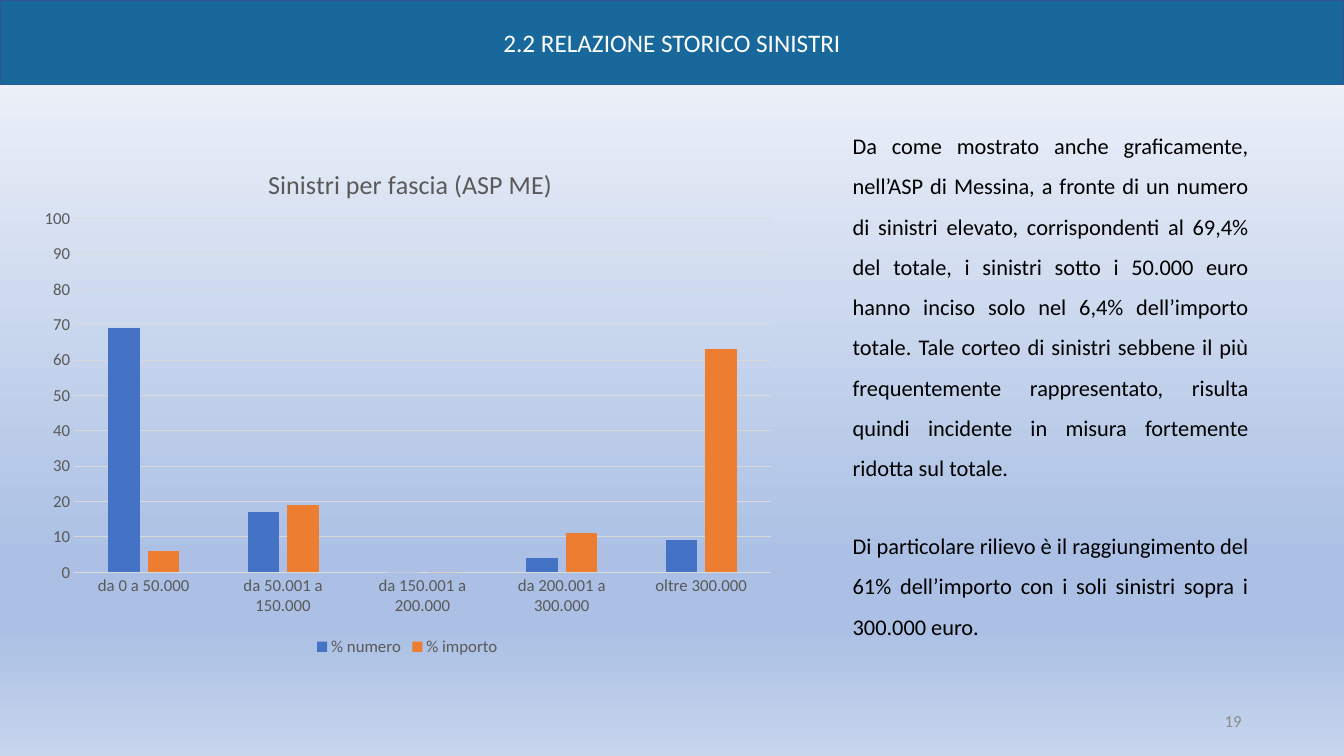
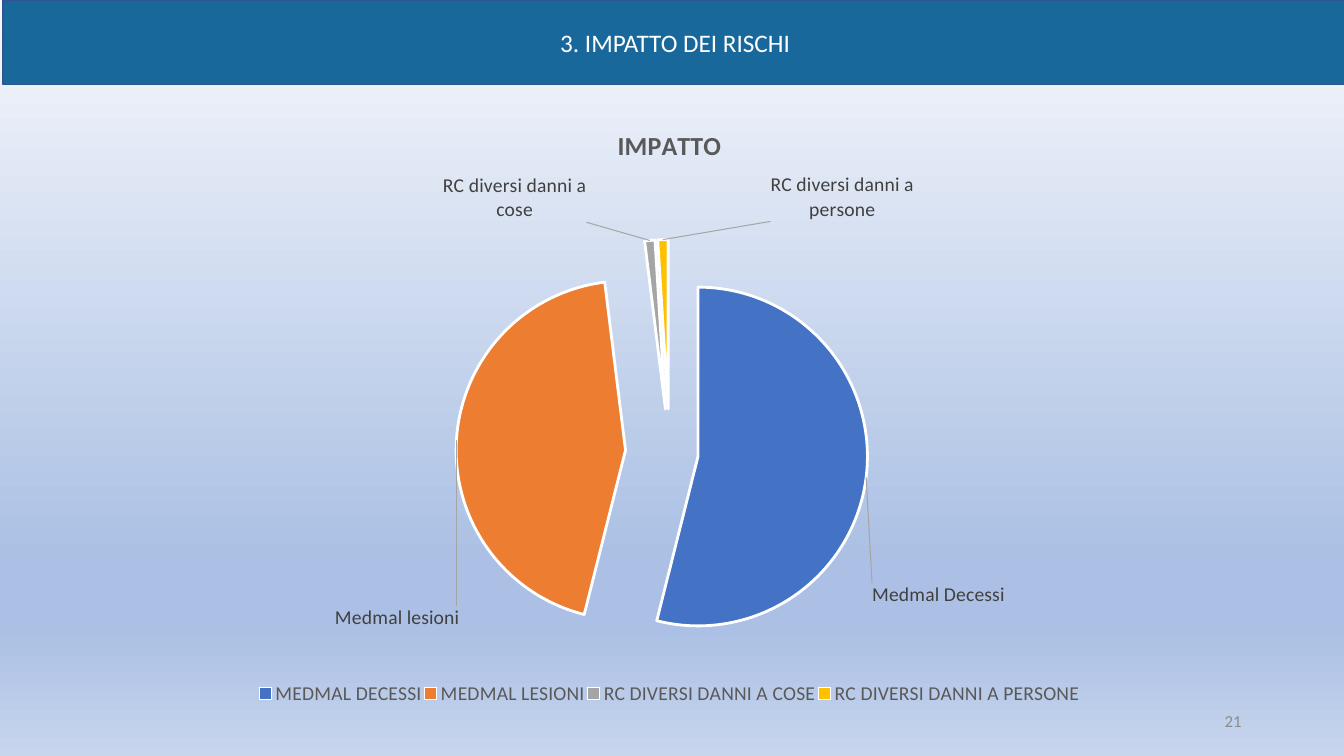
import pptx
import pptx.chart.data
import pptx.dml.color
import pptx.enum.chart
import pptx.enum.shapes
import pptx.enum.text
import pptx.oxml
import pptx.oxml.ns
import pptx.util
from lxml import etree

Pt = pptx.util.Pt
RGB = pptx.dml.color.RGBColor
qn = pptx.oxml.ns.qn
ALIGN = pptx.enum.text.PP_ALIGN
ANCHOR = pptx.enum.text.MSO_ANCHOR
CHART = pptx.enum.chart.XL_CHART_TYPE
TICK = pptx.enum.chart.XL_TICK_MARK

FONT = "Calibri"
BAND = RGB(0x18, 0x68, 0x9B)
BAND_EDGE = RGB(0x32, 0x54, 0x91)
WHITE = RGB(0xFF, 0xFF, 0xFF)
BLACK = RGB(0, 0, 0)
PAGE_GRAY = RGB(0x8C, 0x8C, 0x8C)
CHART_GRAY = RGB(0x59, 0x59, 0x59)
LABEL_GRAY = RGB(0x40, 0x40, 0x40)
LEADER_GRAY = RGB(0xA6, 0xA6, 0xA6)
GRID_GRAY = RGB(0xD9, 0xD9, 0xD9)
BLUE = RGB(0x44, 0x72, 0xC4)
ORANGE = RGB(0xED, 0x7D, 0x31)
GRAY = RGB(0xA5, 0xA5, 0xA5)
YELLOW = RGB(0xFF, 0xC0, 0x00)
BACKGROUND_STOPS = [
    (0, RGB(0xF6, 0xF8, 0xFC)),
    (74, RGB(0xAB, 0xC0, 0xE4)),
    (83, RGB(0xAB, 0xC0, 0xE4)),
    (100, RGB(0xC7, 0xD5, 0xED)),
]


def set_font(font, size, color, bold=False):
    font.name = FONT
    font.size = Pt(size)
    font.bold = bold
    font.color.rgb = color


def write(frame, text, size=16, color=BLACK, bold=False, align=None, spacing=None):
    """Fill the first paragraph of a text frame with one formatted run."""
    paragraph = frame.paragraphs[0]
    paragraph.alignment = align
    paragraph.line_spacing = spacing
    run = paragraph.add_run()
    run.text = text
    set_font(run.font, size, color, bold)


def place(part, after=None, **fractions):
    """Give a chart part a manual layout, in fractions of the chart area."""
    for old in part.findall(qn("c:layout")):
        part.remove(old)
    layout = etree.Element(qn("c:layout"))
    manual = etree.SubElement(layout, qn("c:manualLayout"))
    for tag, value in fractions.items():
        etree.SubElement(manual, qn(f"c:{tag}")).set("val", str(value))
    if after is None:
        part.insert(0, layout)
    else:
        part.find(qn(after)).addnext(layout)


class Deck:
    def __init__(self):
        self.prs = pptx.Presentation()
        self.prs.slide_width, self.prs.slide_height = Pt(960), Pt(540)
        self.slide = None
        self.paint_background()

    def paint_background(self):
        master = self.prs.slide_master
        fill = master.background.fill
        fill.gradient()
        fill.gradient_angle = 270
        stops = next(master.element.iter(qn("a:gsLst")))
        for stop in list(stops):
            stops.remove(stop)
        for percent, color in BACKGROUND_STOPS:
            stop = etree.SubElement(stops, qn("a:gs"), pos=str(percent * 1000))
            etree.SubElement(stop, qn("a:srgbClr"), val=str(color))

    def start_slide(self, title, number, band_left=0):
        self.slide = self.prs.slides.add_slide(self.prs.slide_layouts[6])
        band = self.slide.shapes.add_shape(
            pptx.enum.shapes.MSO_SHAPE.RECTANGLE, Pt(band_left), 0, Pt(960), Pt(60.5))
        band.shadow.inherit = False
        band.fill.solid()
        band.fill.fore_color.rgb = BAND
        band.line.color.rgb = BAND_EDGE
        band.line.width = Pt(1)
        band.text_frame.vertical_anchor = ANCHOR.MIDDLE
        write(band.text_frame, title, size=18, color=WHITE, align=ALIGN.CENTER)
        self.text((678, 500.5, 216, 28.75), str(number), anchor=ANCHOR.MIDDLE,
                  size=12, color=PAGE_GRAY, align=ALIGN.RIGHT)

    def text(self, box, content, anchor=ANCHOR.TOP, **style):
        frame = self.slide.shapes.add_textbox(*map(Pt, box)).text_frame
        frame.word_wrap = True
        frame.vertical_anchor = anchor
        write(frame, content, **style)

    def chart(self, kind, box, title, categories, series, plot_area,
              bold_title=False, legend_size=12, number_format="General"):
        """Add a chart with title, bottom legend and a fixed inner plot area."""
        data = pptx.chart.data.CategoryChartData(number_format=number_format)
        data.categories = categories
        for name, values in series:
            data.add_series(name, values)
        chart = self.slide.shapes.add_chart(kind, *map(Pt, box), data).chart
        set_font(chart.font, 10, BLACK)
        chart.has_title = True
        write(chart.chart_title.text_frame, title, size=18.6,
              color=CHART_GRAY, bold=bold_title)
        chart.chart_title.include_in_layout = False
        chart.has_legend = True
        chart.legend.position = pptx.enum.chart.XL_LEGEND_POSITION.BOTTOM
        chart.legend.include_in_layout = False
        set_font(chart.legend.font, legend_size, CHART_GRAY)
        x, y, w, h = plot_area
        place(next(chart.element.iter(qn("c:plotArea"))), layoutTarget="inner",
              xMode="edge", yMode="edge", x=x, y=y, w=w, h=h)
        return chart

    def column_chart(self, box, title, categories, series, colors, plot_area):
        chart = self.chart(CHART.COLUMN_CLUSTERED, box, title, categories,
                           series, plot_area)
        place(next(chart.element.iter(qn("c:title"))), after="c:tx",
              xMode="edge", yMode="edge", x=0.31, y=0.04)
        plot = chart.plots[0]
        plot.vary_by_categories = False
        plot.gap_width, plot.overlap = 219, -27
        for bars, color in zip(plot.series, colors):
            bars.format.fill.solid()
            bars.format.fill.fore_color.rgb = color
        values = chart.value_axis
        for axis in (chart.category_axis, values):
            axis.major_tick_mark = axis.minor_tick_mark = TICK.NONE
            set_font(axis.tick_labels.font, 12, CHART_GRAY)
        values.minimum_scale, values.maximum_scale = 0, 100
        values.major_unit = 10
        values.format.line.fill.background()
        values.has_major_gridlines = True
        for rule in (chart.category_axis.format.line, values.major_gridlines.format.line):
            rule.color.rgb = GRID_GRAY
            rule.width = Pt(0.75)

    def pie_chart(self, box, title, slices, plot_area, legend_area):
        """Slices hold name, value, colour, explosion, label and label shift."""
        names, values, colors, explosions, labels, shifts = zip(*slices)
        chart = self.chart(CHART.PIE, box, title, names, [(title, values)], plot_area,
                           bold_title=True, legend_size=14, number_format="0%")
        x, y, w, h = legend_area
        place(next(chart.element.iter(qn("c:legend"))), after="c:legendPos",
              xMode="edge", yMode="edge", x=x, y=y, w=w, h=h)
        plot = chart.plots[0]
        plot.vary_by_categories = True
        pie = plot.series[0]
        outside = pptx.enum.chart.XL_LABEL_POSITION.OUTSIDE_END
        shared = pie.data_labels
        set_font(shared.font, 14, LABEL_GRAY)
        shared.number_format, shared.number_format_is_linked = "0%", False
        shared.show_value = shared.show_percentage = shared.show_category_name = True
        shared.position = outside
        for index, (color, label) in enumerate(zip(colors, labels)):
            point = pie.points[index]
            point.format.fill.solid()
            point.format.fill.fore_color.rgb = color
            point.format.line.color.rgb = WHITE
            point.format.line.width = Pt(2)
            write(point.data_label.text_frame, label, size=14, color=LABEL_GRAY)
            point.data_label.position = outside
        for point, explosion in zip(chart.element.iter(qn("c:dPt")), explosions):
            push = etree.Element(qn("c:explosion"), val=str(explosion))
            point.find(qn("c:spPr")).addprevious(push)
        for label, (x, y) in zip(chart.element.iter(qn("c:dLbl")), shifts):
            place(label, after="c:idx", x=x, y=y)
        self.leader_lines(chart)

    def leader_lines(self, chart):
        holder = next(chart.element.iter(qn("c:dLbls")))
        switch = holder.find(qn("c:showLeaderLines"))
        if switch is None:
            switch = etree.SubElement(holder, qn("c:showLeaderLines"))
        switch.set("val", "1")
        leaders = etree.Element(qn("c:leaderLines"))
        switch.addnext(leaders)
        line = etree.SubElement(etree.SubElement(leaders, qn("c:spPr")),
                                qn("a:ln"), w=str(Pt(0.75)))
        fill = etree.SubElement(line, qn("a:solidFill"))
        etree.SubElement(fill, qn("a:srgbClr"), val=str(LEADER_GRAY))


def main():
    deck = Deck()

    deck.start_slide("2.2 RELAZIONE STORICO SINISTRI", 19)
    comments = [
        (81.25, 269, "Da come mostrato anche graficamente, nell’ASP di Messina, a fronte "
         "di un numero di sinistri elevato, corrispondenti al 69,4% del totale, i sinistri "
         "sotto i 50.000 euro hanno inciso solo nel 6,4% dell’importo totale. Tale corteo "
         "di sinistri sebbene il più frequentemente rappresentato, risulta quindi "
         "incidente in misura fortemente ridotta sul totale."),
        (367, 94.5, "Di particolare rilievo è il raggiungimento del 61% dell’importo con "
         "i soli sinistri sopra i 300.000 euro."),
    ]
    for top, height, comment in comments:
        deck.text((602, top, 297, height), comment, align=ALIGN.JUSTIFY, spacing=1.5)
    deck.column_chart(
        (20.5, 100.5, 541, 371.5), "Sinistri per fascia (ASP ME)",
        ["da 0 a 50.000", "da 50.001 a 150.000", "da 150.001 a 200.000",
         "da 200.001 a 300.000", "oltre 300.000"],
        [("% numero", (69, 17, 0, 4, 9)), ("% importo", (6, 19, 0, 11, 63))],
        [BLUE, ORANGE], plot_area=(0.06, 0.15, 0.92, 0.68))

    deck.start_slide("3. IMPATTO DEI RISCHI", 21, band_left=2.25)
    deck.pie_chart(
        (157.5, 75, 641.5, 440), "IMPATTO",
        [("MEDMAL DECESSI", 0.55, BLUE, 17, "Medmal Decessi", (0, 0.17)),
         ("MEDMAL LESIONI", 0.45, ORANGE, 26, "Medmal lesioni", (0.01, 0.29)),
         ("RC DIVERSI DANNI A COSE", 0.01, GRAY, 26,
          "RC diversi danni a cose", (-0.07, -0.02)),
         ("RC DIVERSI DANNI A PERSONE", 0.01, YELLOW, 26,
          "RC diversi danni a persone", (0.2, -0.02))],
        plot_area=(0.31, 0.29, 0.38, 0.55), legend_area=(0.04, 0.93, 0.92, 0.05))

    deck.prs.save("out.pptx")


if __name__ == "__main__":
    main()
